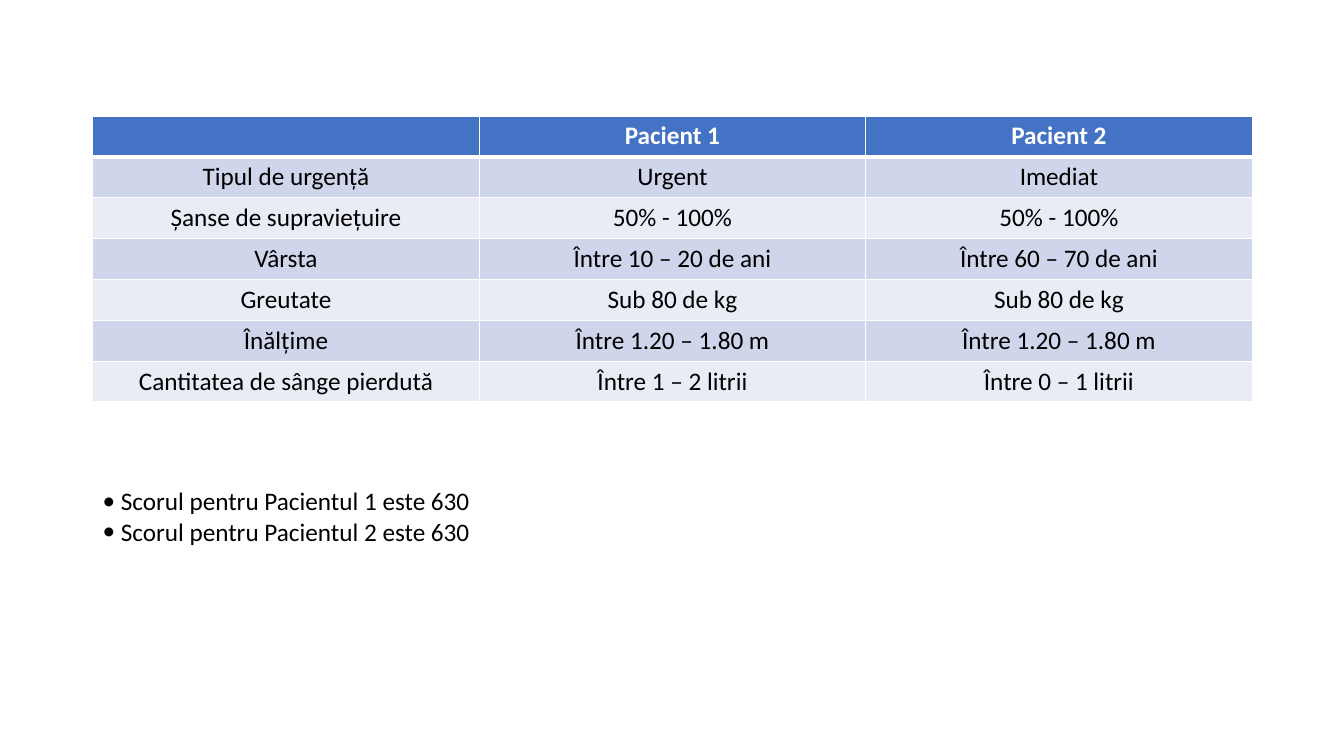
from lxml import etree
from pptx import Presentation
from pptx.dml.color import RGBColor
from pptx.enum.text import MSO_ANCHOR, PP_ALIGN
from pptx.oxml.ns import qn
from pptx.util import Inches, Pt

CENTER = PP_ALIGN.CENTER
TOP = MSO_ANCHOR.TOP

WHITE = RGBColor(0xFF, 0xFF, 0xFF)
BLACK = RGBColor(0x00, 0x00, 0x00)
HEADER_BLUE = RGBColor(0x44, 0x72, 0xC4)
BAND_DARK = RGBColor(0xCF, 0xD5, 0xEA)
BAND_LIGHT = RGBColor(0xE9, 0xEB, 0xF5)

FONT = "Calibri"
TEXT_SIZE = Pt(18)

PATIENT_ROWS = [
    ("", "Pacient 1", "Pacient 2"),
    ("Tipul de urgență", "Urgent", "Imediat"),
    ("Șanse de supraviețuire", "50% - 100%", "50% - 100%"),
    ("Vârsta", "Între 10 – 20 de ani", "Între 60 – 70 de ani"),
    ("Greutate", "Sub 80 de kg", "Sub 80 de kg"),
    ("Înălțime", "Între 1.20 – 1.80 m", "Între 1.20 – 1.80 m"),
    ("Cantitatea de sânge pierdută", "Între 1 – 2 litrii", "Între 0 – 1 litrii"),
]
SCORES = [
    "Scorul pentru Pacientul 1 este 630",
    "Scorul pentru Pacientul 2 este 630",
]


def style_font(font, color, bold=False):
    """Apply the slide's typeface and size with the given colour and weight."""
    font.name = FONT
    font.size = TEXT_SIZE
    font.bold = bold
    font.color.rgb = color


def set_borders(cell, widths):
    """Draw white cell borders; widths maps a side (L, R, T, B) to a width."""
    properties = cell._tc.get_or_add_tcPr()
    for side, width in widths.items():
        line = etree.SubElement(properties, qn(f"a:ln{side}"), w=str(width))
        fill = etree.SubElement(line, qn("a:solidFill"))
        etree.SubElement(fill, qn("a:srgbClr"), val=str(WHITE))


def add_patient_table(slide, left, top, width, height):
    """Add the comparison table with equal columns and rows in the box."""
    row_count, column_count = len(PATIENT_ROWS), len(PATIENT_ROWS[0])
    table = slide.shapes.add_table(
        row_count, column_count, left, top, width, height
    ).table
    for row_index, row in enumerate(PATIENT_ROWS):
        is_header = row_index == 0
        band = BAND_DARK if row_index % 2 else BAND_LIGHT
        top_width = Pt(3) if row_index == 1 else Pt(1)
        bottom_width = Pt(3) if is_header else Pt(1)
        for column_index, text in enumerate(row):
            cell = table.cell(row_index, column_index)
            set_borders(
                cell, {"L": Pt(1), "R": Pt(1), "T": top_width, "B": bottom_width}
            )
            cell.fill.solid()
            cell.fill.fore_color.rgb = HEADER_BLUE if is_header else band
            cell.vertical_anchor = TOP
            cell.text_frame.text = text
            paragraph = cell.text_frame.paragraphs[0]
            paragraph.alignment = CENTER
            style_font(paragraph.font, WHITE if is_header else BLACK, is_header)
            for run in paragraph.runs:
                style_font(run.font, WHITE if is_header else BLACK, is_header)


def add_score_list(slide, left, top, width, height):
    """Add the bulleted patient scores in the box."""
    text_frame = slide.shapes.add_textbox(left, top, width, height).text_frame
    text_frame.word_wrap = True
    text_frame.text = "\n".join(SCORES)
    indent = Inches(0.18)
    for paragraph in text_frame.paragraphs:
        properties = paragraph._p.get_or_add_pPr()
        properties.set("marL", str(indent))
        properties.set("indent", str(-indent))
        etree.SubElement(properties, qn("a:buFont"), typeface=FONT)
        etree.SubElement(properties, qn("a:buChar"), char="•")
        for run in paragraph.runs:
            style_font(run.font, BLACK)


def main():
    """Build and save the patient comparison slide."""
    presentation = Presentation()
    presentation.slide_width = Inches(13.33)
    presentation.slide_height = Inches(7.5)
    slide = presentation.slides.add_slide(presentation.slide_layouts[6])
    left = Inches(0.92)
    add_patient_table(slide, left, Inches(1.15), Inches(11.5), Inches(2.84))
    add_score_list(slide, left, Inches(4.77), Inches(4.13), Inches(0.7))
    presentation.save("out.pptx")


main()
